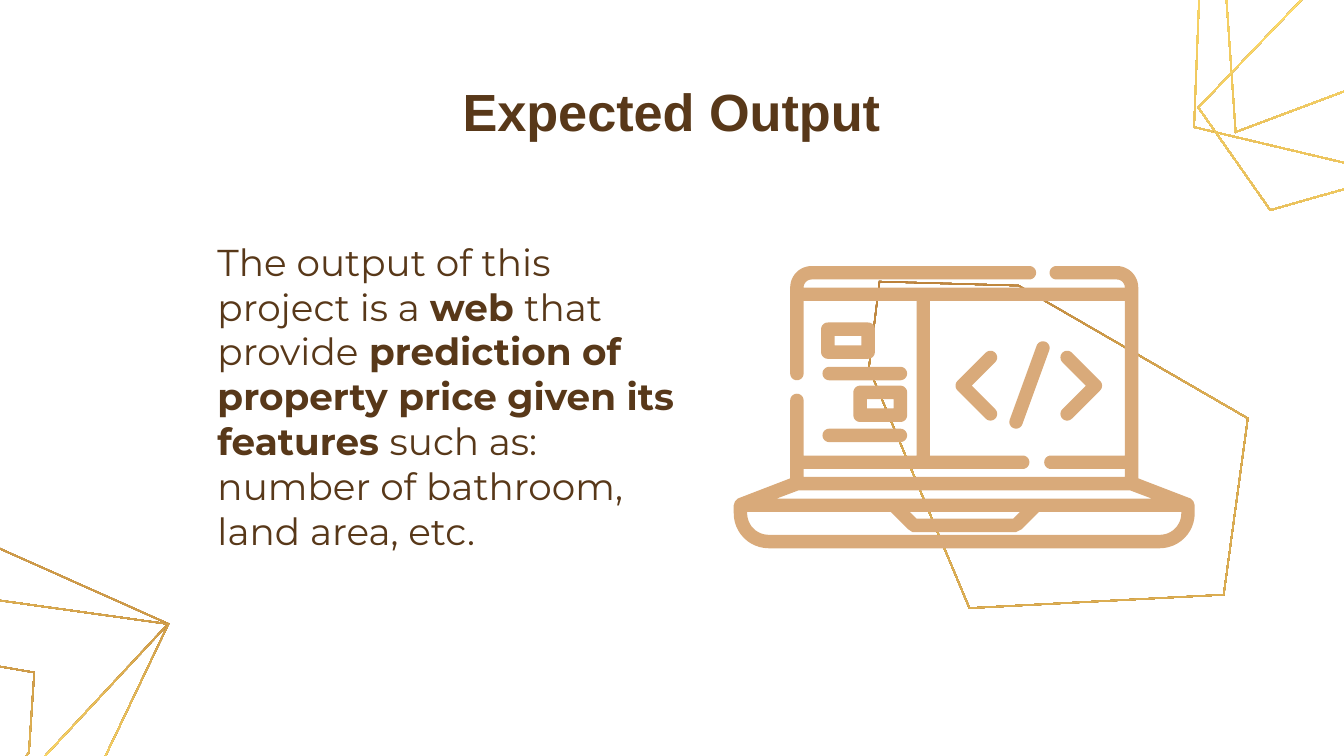
from copy import deepcopy
from math import cos, hypot, radians, sin

from pptx import Presentation
from pptx.dml.color import RGBColor
from pptx.enum.text import MSO_ANCHOR, PP_ALIGN
from pptx.util import Inches, Pt

WIDTH, HEIGHT = Inches(10), Inches(5.625)
BROWN, TAN = "583819", "D9AA7A"
BRIGHT_GOLD = ("AF7132", "FFDD6B", "DCAE52")
DEEP_GOLD = ("AF7132", "DCAE52", "DCAE52")
RING_WIDTH = 0.01
STROKE = 0.05  # half the thickness of the laptop's lines

# Clockwise corners in inches, with the turn of each polygon in degrees
TOP_RIGHT_RINGS = [
    (25.2, [(9.19, 0.99), (9.02, -1.45), (12.02, -1.03), (11.48, 0.13)]),
    (23.8, [(8.88, 0.95), (8.93, -0.32), (10.71, -0.96), (11.69, -0.81),
            (11.66, -0.19), (10.65, 1.37)]),
    (23.8, [(9.45, 1.57), (8.91, 0.8), (10.74, -1.11), (12.2, -0.5), (10.68, 1.22)]),
]
BOTTOM_LEFT_RINGS = [
    (25.2, [(-2.47, 6.62), (-2.39, 5.41), (-0.67, 4.84), (0.26, 5),
            (0.22, 5.6), (-0.78, 7.06)]),
    (25.2, [(-1.43, 6.56), (-1.93, 5.81), (-0.13, 4.02), (1.26, 4.64), (-0.24, 6.25)]),
    (25.2, [(-1.43, 6.56), (-1.6, 4.24), (1.26, 4.64), (0.74, 5.73)]),
]
LAPTOP_RING = (-13.5, [(7.21, 4.53), (6.46, 2.74), (6.54, 2.09), (7.58, 2.12),
                       (9.29, 3.11), (9.11, 4.43)])


def color(hex_string):
    return RGBColor.from_string(hex_string)


def arc(x, y, radius, start, end, steps=12):
    """Points on a circle; angles in degrees, clockwise from the right."""
    angles = [radians(start + (end - start) * step / steps) for step in range(steps + 1)]
    return [(x + radius * cos(angle), y + radius * sin(angle)) for angle in angles]


def rotate(point, degrees):
    x, y = point
    turn = radians(degrees)
    return x * cos(turn) - y * sin(turn), x * sin(turn) + y * cos(turn)


def inset(corners, distance):
    """Move the edges of a clockwise polygon inwards."""
    normals = []
    for (x1, y1), (x2, y2) in zip(corners, corners[1:] + corners[:1]):
        length = hypot(x2 - x1, y2 - y1)
        normals.append(((y1 - y2) / length, (x2 - x1) / length))
    inner = []
    for index, (x, y) in enumerate(corners):
        (ax, ay), (bx, by) = normals[index - 1], normals[index]
        factor = distance / (1 + ax * bx + ay * by)
        inner.append((x + factor * (ax + bx), y + factor * (ay + by)))
    return inner


def add_outline(shapes, *contours):
    """Build one freeform from closed contours; inner contours are holes."""
    scaled = [[(Inches(x), Inches(y)) for x, y in contour] for contour in contours]
    builder = shapes.build_freeform(*scaled[0][0], scale=1.0)
    builder.add_line_segments(scaled[0][1:], close=True)
    for contour in scaled[1:]:
        builder.move_to(*contour[0])
        builder.add_line_segments(contour[1:], close=True)
    shape = builder.convert_to_shape()
    shape.shadow.inherit = False
    shape.line.fill.background()
    return shape


def add_solid(shapes, *contours):
    shape = add_outline(shapes, *contours)
    shape.fill.solid()
    shape.fill.fore_color.rgb = color(TAN)


def add_ring(shapes, degrees, corners, stops):
    """Draw a thin polygon whose gradient turns with the shape."""
    upright = [rotate(corner, -degrees) for corner in corners]
    shape = add_outline(shapes, upright, inset(upright, RING_WIDTH))
    center = (shape.left + shape.width / 2, shape.top + shape.height / 2)
    x, y = rotate(center, degrees)
    shape.left, shape.top = round(x - shape.width / 2), round(y - shape.height / 2)
    shape.rotation = degrees
    shape.fill.gradient()
    shape.fill.gradient_angle = 270
    stop_list = shape.fill._fill._gradFill.gsLst
    stop_list.insert(1, deepcopy(stop_list[0]))
    for index, (stop, hex_string) in enumerate(zip(shape.fill.gradient_stops, stops)):
        stop.position = index / 2
        stop.color.rgb = color(hex_string)


def add_bar(shapes, x1, y1, x2, y2, tilt=0):
    """Round-ended bar; tilt is the direction from start to end."""
    add_solid(shapes, arc(x1, y1, STROKE, tilt + 90, tilt + 270)
              + arc(x2, y2, STROKE, tilt - 90, tilt + 90))


def add_frame(shapes, x, y, width=0.4, height=0.27):
    right, bottom = x + width, y + height
    corners = [(x, y, 180), (right, y, 270), (right, bottom, 0), (x, bottom, 90)]
    outer = []
    for corner_x, corner_y, start in corners:
        center_x = corner_x + (STROKE if corner_x == x else -STROKE)
        center_y = corner_y + (STROKE if corner_y == y else -STROKE)
        outer += arc(center_x, center_y, STROKE, start, start + 90)
    edge = 2 * STROKE
    add_solid(shapes, outer, [(x + edge, y + edge), (right - edge, y + edge),
                              (right - edge, bottom - edge), (x + edge, bottom - edge)])


def add_bracket(shapes, tip_x, tip_y, reach=0.21, direction=1):
    """Angle bracket opening to the right (1) or to the left (-1)."""
    points = (arc(reach, -reach, STROKE, 225, 405) + [(STROKE * 2 ** 0.5, 0)]
              + arc(reach, reach, STROKE, -45, 135) + arc(0, 0, STROKE, 135, 225))
    add_solid(shapes, [(tip_x + direction * x, tip_y + y) for x, y in points])


def add_laptop(shapes):
    screen = ([(8.37, 2.24), (8.37, 3.39)] + arc(7.82, 3.44, STROKE, 270, 90)
              + [(8.37, 3.49), (8.37, 3.55), (5.98, 3.55), (5.98, 3.49)]
              + arc(7.61, 3.44, STROKE, 90, -90) + [(6.92, 3.39), (6.92, 2.24)])
    hinge = [(8.41, 3.65), (8.57, 3.71), (5.78, 3.71), (5.94, 3.65)]
    notch = [(7.59, 3.81), (7.54, 3.86), (6.82, 3.86), (6.77, 3.81)]
    base = ([(8.79, 3.81)] + arc(8.63, 3.82, 0.16, 0, 90) + arc(5.72, 3.82, 0.16, 90, 180)
            + [(5.56, 3.81), (6.63, 3.81), (6.76, 3.94), (6.79, 3.96),
               (7.56, 3.96), (7.6, 3.94), (7.73, 3.81)])
    body = (arc(6.04, 2.14, 0.16, 270, 180) + arc(5.93, 2.78, STROKE, 180, 0)
            + [(5.98, 2.24), (6.82, 2.24), (6.82, 3.39), (5.98, 3.39)]
            + arc(5.93, 2.98, STROKE, 0, -180)
            + [(5.88, 3.56), (5.49, 3.71), (5.47, 3.73), (5.46, 3.76)]
            + arc(5.72, 3.82, 0.26, 180, 90) + arc(8.63, 3.82, 0.26, 90, 0)
            + [(8.89, 3.76), (8.88, 3.73), (8.86, 3.71), (8.47, 3.56)]
            + arc(8.31, 2.14, 0.16, 0, -90) + arc(7.86, 2.03, STROKE, 270, 90)
            + arc(8.31, 2.14, 0.06, 270, 360) + arc(6.04, 2.14, 0.06, 180, 270)
            + arc(7.66, 2.03, STROKE, 90, -90))
    add_solid(shapes, body, screen, hinge, notch, base)
    for frame_x, frame_y, bar_y in ((6.11, 2.4, 2.78), (6.35, 2.87, 3.24)):
        add_frame(shapes, frame_x, frame_y)
        add_bar(shapes, 6.17, bar_y, 6.7, bar_y)
    add_bracket(shapes, 7.16, 2.87)
    add_bracket(shapes, 8.15, 2.87, direction=-1)
    add_bar(shapes, 7.56, 3.14, 7.76, 2.59, tilt=-70)


def add_text(slide, runs, box, size, font, align=PP_ALIGN.LEFT, margin=0):
    """Place (text, bold) runs in a box given in percent of the slide."""
    left, top, width, height = box
    shape = slide.shapes.add_textbox(
        round(WIDTH * left / 100), round(HEIGHT * top / 100),
        round(WIDTH * width / 100), round(HEIGHT * height / 100))
    frame = shape.text_frame
    frame.word_wrap = True
    frame.vertical_anchor = MSO_ANCHOR.MIDDLE
    frame.margin_left = frame.margin_right = Inches(0.1)
    frame.margin_top = frame.margin_bottom = Inches(0.1)
    paragraph = frame.paragraphs[0]
    paragraph.alignment = align
    paragraph._p.get_or_add_pPr().set("marL", str(Inches(margin)))
    for text, bold in runs:
        run = paragraph.add_run()
        run.text = text
        run.font.size, run.font.name, run.font.bold = Pt(size), font, bold
        run.font.color.rgb = color(BROWN)


def main():
    presentation = Presentation()
    presentation.slide_width, presentation.slide_height = WIDTH, HEIGHT
    slide = presentation.slides.add_slide(presentation.slide_layouts[6])
    for rings in (TOP_RIGHT_RINGS, BOTTOM_LEFT_RINGS):
        group = slide.shapes.add_group_shape()
        for degrees, corners in rings:
            add_ring(group.shapes, degrees, corners, BRIGHT_GOLD)
    add_ring(slide.shapes, *LAPTOP_RING, DEEP_GOLD)
    add_text(slide, [("The output of this project is a ", False), ("web ", True),
                     ("that provide", False),
                     (" prediction of property price given its features ", True),
                     ("such as: number of bathroom, land area, etc.", False)],
             (13.7, 27.2, 38.4, 50.3), 20, "Montserrat", margin=0.15)
    add_text(slide, [("Expected Output", True)], (21.8, 10.5, 56.3, 8.4), 28, "Arial",
             align=PP_ALIGN.CENTER)
    add_laptop(slide.shapes.add_group_shape().shapes)
    presentation.save("out.pptx")


if __name__ == "__main__":
    main()
